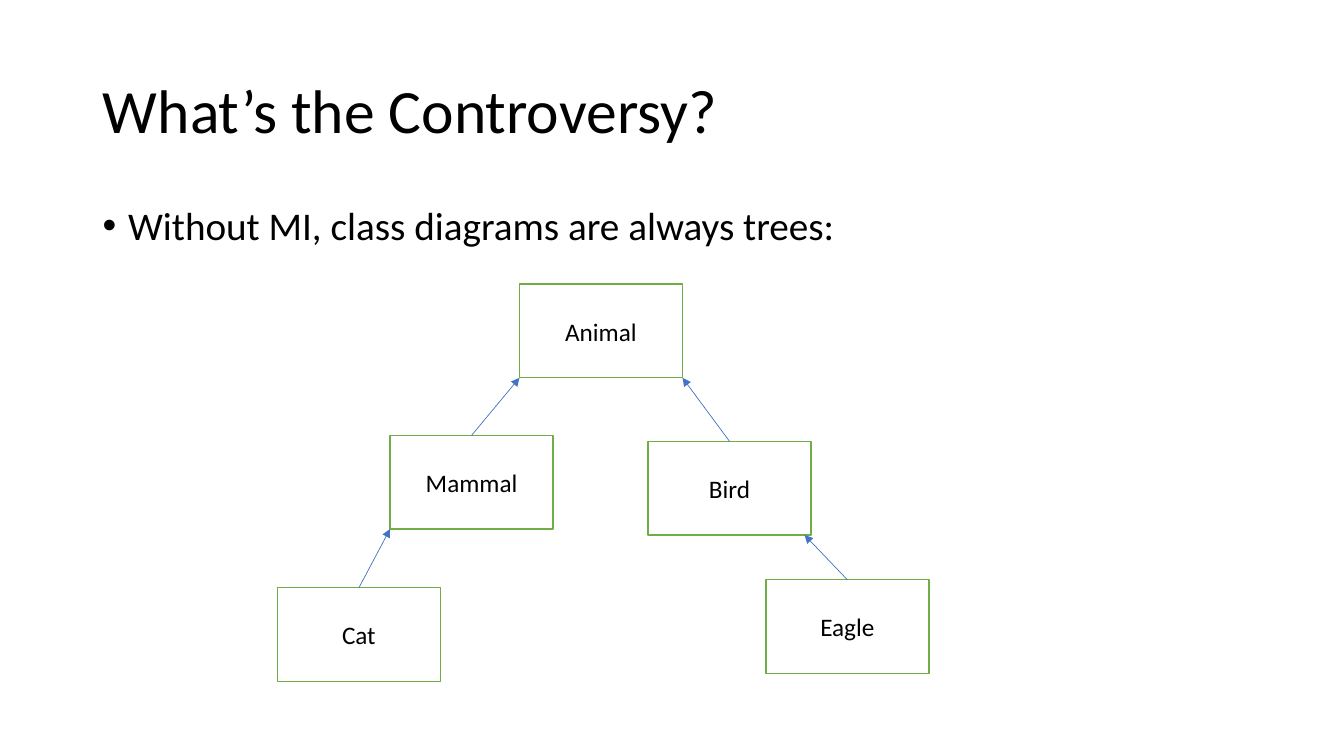
from lxml import etree
from pptx import Presentation
from pptx.dml.color import RGBColor
from pptx.enum.shapes import MSO_CONNECTOR, MSO_SHAPE
from pptx.enum.text import MSO_ANCHOR, PP_ALIGN
from pptx.oxml.ns import qn
from pptx.util import Cm, Pt

RECT = MSO_SHAPE.RECTANGLE
LINE = MSO_CONNECTOR.STRAIGHT
MID, TOP = MSO_ANCHOR.MIDDLE, MSO_ANCHOR.TOP
LEFT, MIDDLE = PP_ALIGN.LEFT, PP_ALIGN.CENTER

# Boxes in cm: left, top, width, height
HEAD = (2.34, 1.02, 29.21, 3.68)
BODY = (2.34, 5.08, 29.21, 12.09)
TREE = (6.99, 7.16, 16.42, 10.01)
WIDE, HIGH = 4.11, 2.36

# Class: left and top within the tree box
NODES = {
    "Animal": (6.1, 0),
    "Mammal": (2.84, 3.81),
    "Cat": (0, 7.65),
    "Bird": (9.34, 3.96),
    "Eagle": (12.31, 7.45),
}
# Child, parent, share of the parent's width where the arrow lands
LINKS = [
    ("Mammal", "Animal", 0),
    ("Bird", "Animal", 1),
    ("Cat", "Mammal", 0),
    ("Eagle", "Bird", 0.96),
]


def color(code):
    return RGBColor.from_string(code)


def apply(item, style):
    for key, value in style.items():
        setattr(item, key, value)


def write(shape, text, size, anchor, align, **style):
    frame = shape.text_frame
    apply(frame, {"word_wrap": True, "vertical_anchor": anchor})
    para = frame.paragraphs[0]
    apply(para, {"alignment": align, **style})
    run = para.add_run()
    apply(run, {"text": text})
    apply(run.font, {"name": "Calibri", "size": Pt(size), "bold": False})
    run.font.color.rgb = color("000000")
    return para


def add_head(slide, box):
    title = slide.shapes.title
    apply(title, dict(zip(("left", "top", "width", "height"), map(Cm, box))))
    write(title, "What’s the Controversy?", 44, MID, LEFT, line_spacing=0.9)


def add_body(slide, box):
    text = slide.shapes.add_textbox(*map(Cm, box))
    para = write(text, "Without MI, class diagrams are always trees:", 28,
                 TOP, LEFT, line_spacing=0.9, space_before=Pt(10))
    # Hanging bullet
    props = para._p.get_or_add_pPr()
    dent = Cm(0.64)
    props.set("marL", str(dent))
    props.set("indent", str(-dent))
    etree.SubElement(props, qn("a:buFont")).set("typeface", "Arial")
    etree.SubElement(props, qn("a:buChar")).set("char", "•")


def add_node(slide, name, left, top):
    node = slide.shapes.add_shape(RECT, Cm(left), Cm(top), Cm(WIDE), Cm(HIGH))
    node.shadow.inherit = False
    node.fill.solid()
    node.fill.fore_color.rgb = color("FFFFFF")
    node.line.color.rgb = color("70AD47")
    node.line.width = Pt(1)
    write(node, name, 18, MID, MIDDLE)


def add_link(slide, start, end):
    link = slide.shapes.add_connector(LINE, *map(Cm, start + end))
    link.line.color.rgb = color("4472C4")
    link.line.width = Pt(0.5)
    # Arrowhead at the parent, no shadow
    tail = etree.SubElement(link.line._get_or_add_ln(), qn("a:tailEnd"))
    tail.set("type", "triangle")
    etree.SubElement(link._element.spPr, qn("a:effectLst"))


def add_tree(slide, box):
    left, top = box[:2]
    spots = {name: (left + x, top + y) for name, (x, y) in NODES.items()}
    for name, spot in spots.items():
        add_node(slide, name, *spot)
    for child, parent, share in LINKS:
        (cx, cy), (px, py) = spots[child], spots[parent]
        add_link(slide, (cx + WIDE / 2, cy), (px + share * WIDE, py + HIGH))


def main():
    deck = Presentation()
    apply(deck, {"slide_width": Cm(33.87), "slide_height": Cm(19.05)})
    slide = deck.slides.add_slide(deck.slide_layouts.get_by_name("Title Only"))
    add_head(slide, HEAD)
    add_body(slide, BODY)
    add_tree(slide, TREE)
    deck.save("out.pptx")


if __name__ == "__main__":
    main()
